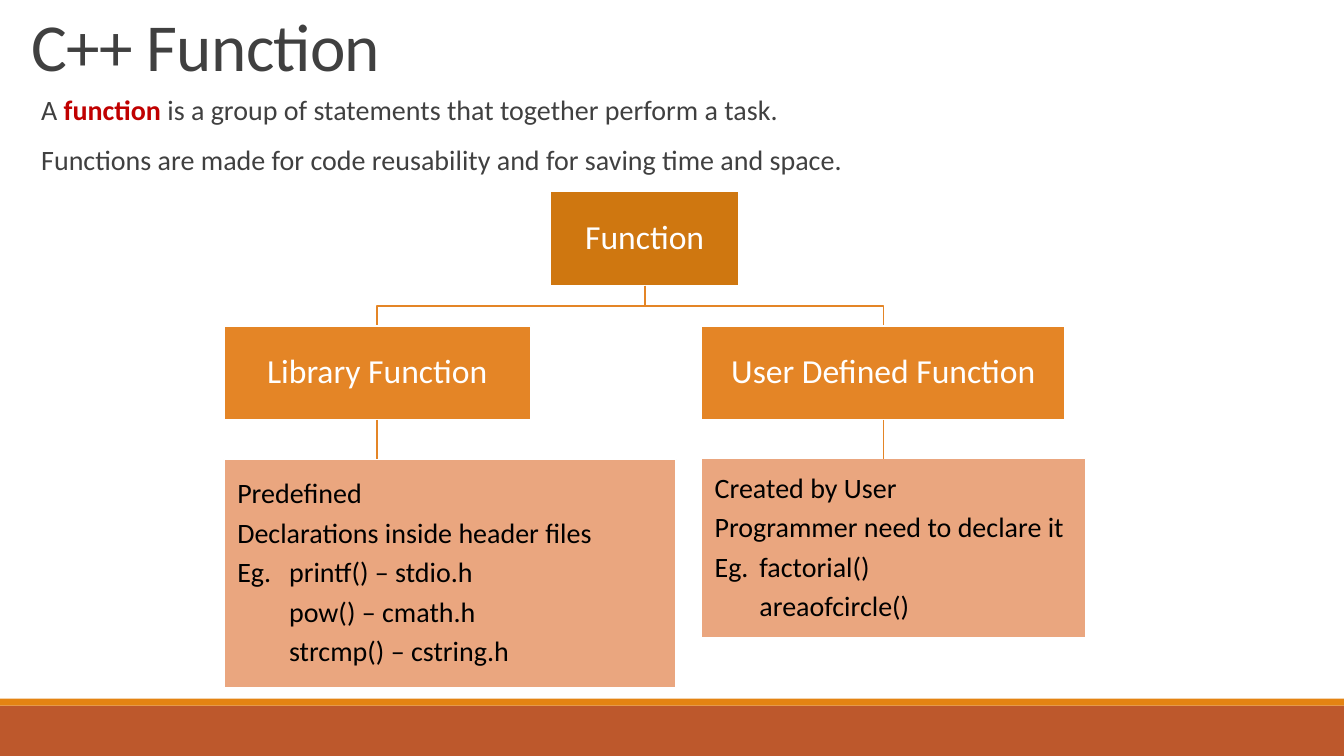
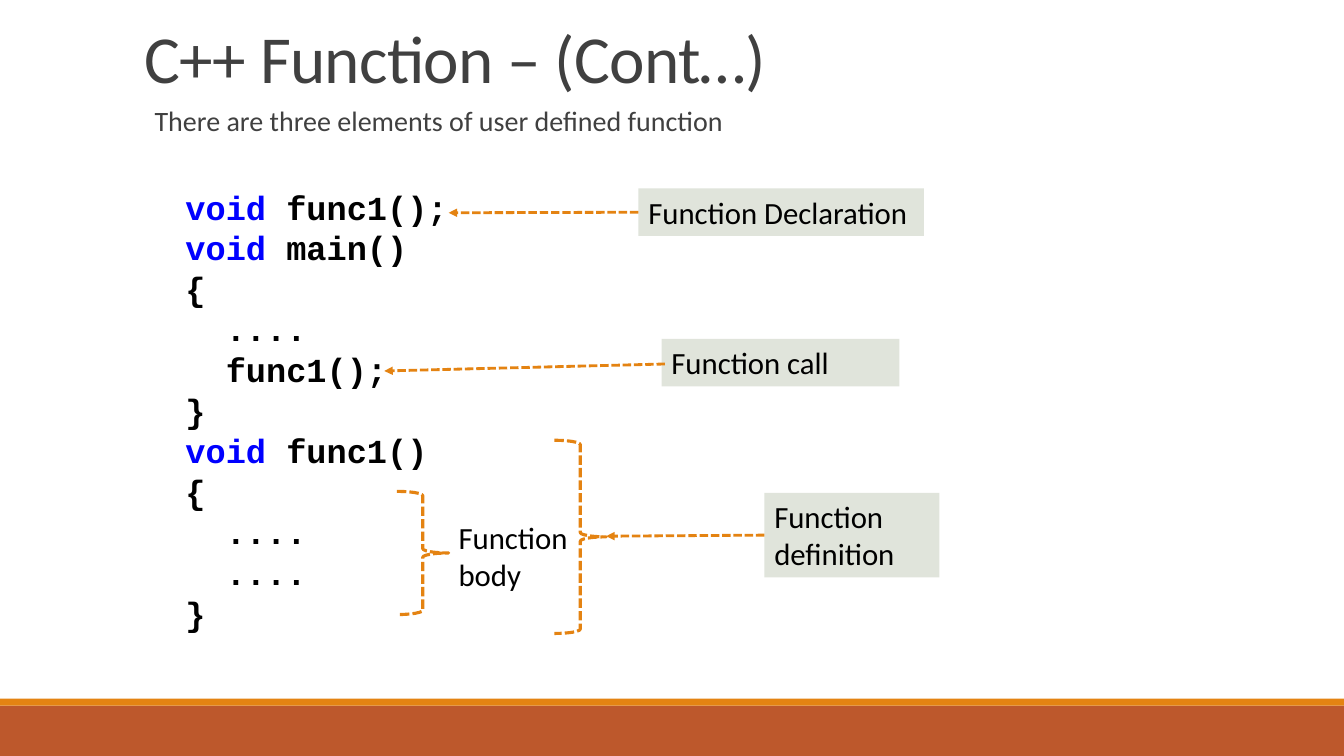
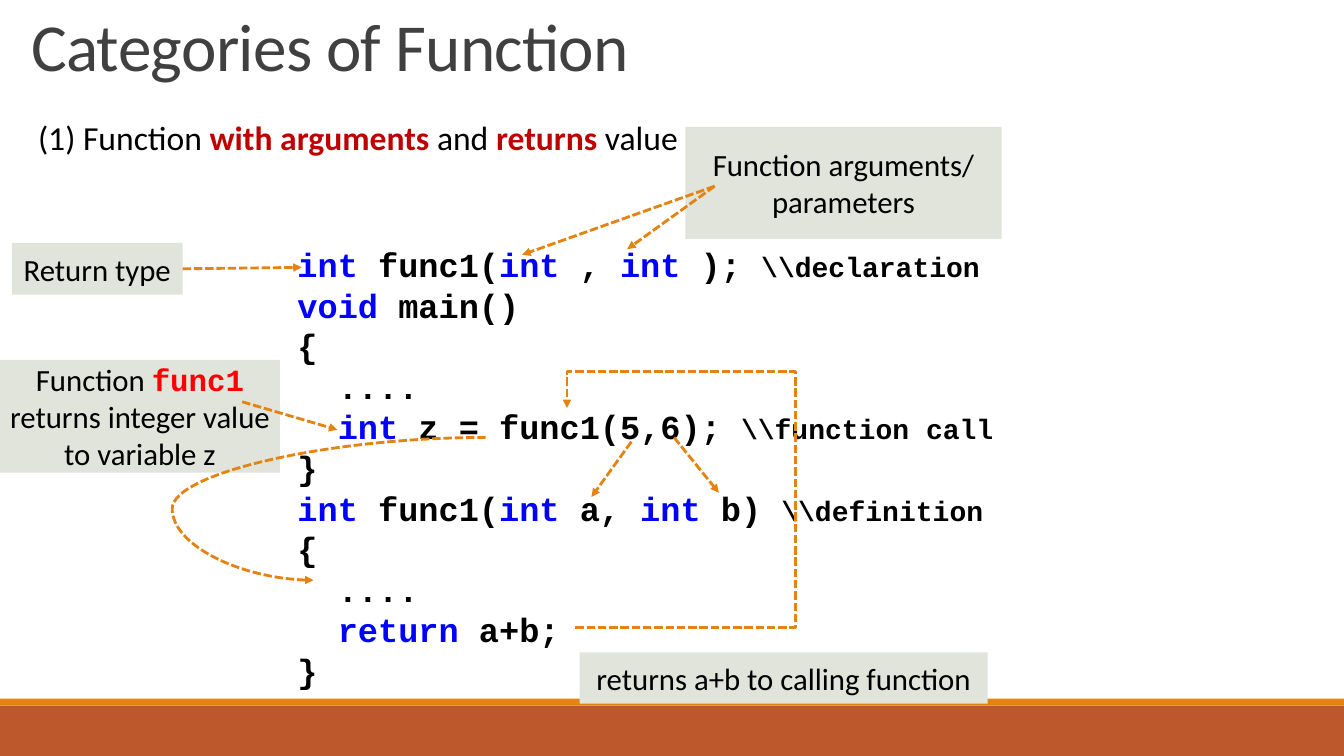
from pptx import Presentation
from pptx.dml.color import RGBColor
from pptx.enum.dml import MSO_LINE
from pptx.enum.shapes import MSO_CONNECTOR as CXN, MSO_SHAPE as SHAPE
from pptx.enum.text import MSO_ANCHOR as ANCHOR, MSO_AUTO_SIZE as FIT, PP_ALIGN as ALIGN
from pptx.oxml.ns import qn
from pptx.util import Pt
from lxml.etree import SubElement

WHITE = RGBColor(0xFF, 0xFF, 0xFF)
BLACK = RGBColor(0x00, 0x00, 0x00)
GRAY = RGBColor(0x40, 0x40, 0x40)
CRIMSON = RGBColor(0xC0, 0x00, 0x00)
RED = RGBColor(0xFF, 0x00, 0x00)
BLUE = RGBColor(0x00, 0x00, 0xFF)
RUST = RGBColor(0xBD, 0x58, 0x2C)
ORANGE = RGBColor(0xE4, 0x83, 0x12)
ROOT = RGBColor(0xCF, 0x77, 0x10)
BRANCH = RGBColor(0xE4, 0x85, 0x26)
PEACH = RGBColor(0xEA, 0xA6, 0x7F)
SAGE = RGBColor(0xE0, 0xE4, 0xDB)

TITLE = {"name": "Calibri", "size": Pt(48), "color": GRAY}
BODY = {"name": "Calibri", "size": Pt(20), "color": GRAY}
HEADING = {"name": "Calibri", "size": Pt(24), "color": BLACK}
NODE = {"name": "Calibri", "size": Pt(24), "color": WHITE}
DETAIL = {"name": "Calibri", "size": Pt(20), "color": BLACK}
LABEL = {"name": "Calibri", "size": Pt(22), "color": BLACK}
CODE = {"name": "Courier New", "size": Pt(24), "bold": True, "color": BLACK}
KEYWORD = {"color": BLUE}
COMMENT = {"size": Pt(20)}
STRONG = {"color": CRIMSON, "bold": True}
CODE_NAME = {"name": "Courier New", "color": RED, "bold": True}

LEFT = {"alignment": ALIGN.LEFT, "space_before": Pt(0), "space_after": Pt(0)}
CENTER = LEFT | {"alignment": ALIGN.CENTER}
TIGHT = LEFT | {"line_spacing": 0.9}


def split_runs(text, accent):
    parts = enumerate(text.split("*"))
    return [(part, accent if i % 2 else {}) for i, part in parts if part]


def code_runs(line):
    code, mark, comment = line.partition(r"\\")
    return split_runs(code, KEYWORD) + ([(mark + comment, COMMENT)] if mark else [])


def set_font(font, fmt):
    for key, value in fmt.items():
        if key == "color":
            font.color.rgb = value
        else:
            setattr(font, key, value)


def write(sp, paras, fmt, para_fmt, gap=0, indent=None, tab=None,
          anchor=ANCHOR.TOP, inset=(7.2, 3.6)):
    tf = sp.text_frame
    x, y = map(Pt, inset)
    frame = {"word_wrap": True, "auto_size": FIT.NONE, "vertical_anchor": anchor,
             "margin_left": x, "margin_right": x, "margin_top": y, "margin_bottom": y}
    for key, value in frame.items():
        setattr(tf, key, value)
    for i, runs in enumerate(paras):
        p = tf.add_paragraph() if i else tf.paragraphs[0]
        for key, value in para_fmt.items():
            setattr(p, key, value)
        if i:
            p.space_before = Pt(gap)
        pPr = p._p.get_or_add_pPr()
        if indent is not None:
            pPr.set("marL", str(Pt(indent)))
            pPr.set("indent", "0")
            SubElement(pPr, qn("a:buNone"))
        if tab:
            tabs = SubElement(pPr, qn("a:tabLst"))
            SubElement(tabs, qn("a:tab"), pos=str(Pt(tab)), algn="l")
        for text, extra in runs:
            r = p.add_run()
            r.text = text
            set_font(r.font, fmt | extra)


def plain(*lines, accent=None):
    return [split_runs(line, accent or {}) for line in lines]


def box(s, at, fill, line=None):
    sp = s.shapes.add_shape(SHAPE.RECTANGLE, *map(Pt, at))
    sp.shadow.inherit = False
    sp.fill.solid()
    sp.fill.fore_color.rgb = fill
    if line:
        sp.line.color.rgb = line
        sp.line.width = Pt(1.25)
    else:
        sp.line.fill.background()
    return sp


def style_line(sp, color, width, dashed=False, arrow=False):
    sp.line.color.rgb = color
    sp.line.width = Pt(width)
    if dashed:
        sp.line.dash_style = MSO_LINE.SQUARE_DOT
    if arrow:
        SubElement(sp.line._get_or_add_ln(), qn("a:tailEnd"), type="triangle")


def connector(s, start, end, kind=CXN.STRAIGHT, color=ORANGE, width=2, dashed=True,
              arrow=True, source=None, side=None):
    c = s.shapes.add_connector(kind, *map(Pt, start + end))
    if source is not None:
        c.begin_connect(source, side)
    style_line(c, color, width, dashed, arrow)
    SubElement(c._element.spPr, qn("a:effectLst"))
    return c


def polyline(s, points, **style):
    (x, y), *rest = [tuple(map(Pt, point)) for point in points]
    builder = s.shapes.build_freeform(x, y, scale=1.0)
    builder.add_line_segments(rest, close=False)
    sp = builder.convert_to_shape()
    sp.shadow.inherit = False
    sp.fill.background()
    style_line(sp, **style)


def brace(s, at):
    sp = s.shapes.add_shape(SHAPE.RIGHT_BRACE, *map(Pt, at))
    sp.shadow.inherit = False
    sp.fill.background()
    style_line(sp, ORANGE, 2.25, dashed=True)


def label(s, at, *lines, para_fmt=CENTER, accent=None):
    sp = box(s, at, SAGE)
    write(sp, plain(*lines, accent=accent), LABEL, para_fmt, anchor=ANCHOR.MIDDLE)
    return sp


def node(s, at, text, fill):
    sp = box(s, at, fill, WHITE)
    write(sp, plain(text), NODE, CENTER | {"line_spacing": 0.9},
          anchor=ANCHOR.MIDDLE, inset=(1.4, 1.4))
    return sp


def detail(s, at, tab, *lines):
    sp = box(s, at, PEACH, WHITE)
    write(sp, plain(*lines), DETAIL, TIGHT, gap=6.6, tab=tab,
          anchor=ANCHOR.MIDDLE, inset=(9.5, 0.7))


def code(s, at, *lines):
    sp = box(s, at, WHITE)
    write(sp, [code_runs(line) for line in lines], CODE, LEFT | {"line_spacing": Pt(29)},
          anchor=ANCHOR.MIDDLE, inset=(0, 0))


def place(sp, at):
    for key, value in zip(("left", "top", "width", "height"), at):
        setattr(sp, key, Pt(value))


def new_slide(prs, title, title_at, body, body_at, body_fmt=BODY, indent=7.2):
    s = prs.slides.add_slide(prs.slide_layouts[1])
    heading, content = s.placeholders
    place(heading, title_at)
    write(heading, plain(title), TITLE, LEFT | {"line_spacing": 0.85})
    heading.text_frame.paragraphs[0].runs[0].font._element.set("spc", "-50")
    place(content, body_at)
    spacing = TIGHT if indent else LEFT
    write(content, plain(*body, accent=STRONG), body_fmt, spacing, gap=14, indent=indent)
    return s


def add_bands(prs, s):
    tree = prs.slide_master.shapes.element
    bands = ((0, 504, 960, 36), RUST), ((0, 499, 960, 5), ORANGE)
    for i, (at, fill) in enumerate(bands):
        sp = box(s, at, fill)
        sp._element.nvSpPr.cNvPr.set("id", str(20 + i))
        tree.insert(2 + i, sp._element)


def function_tree(prs):
    s = new_slide(prs, "C++ Function", (15, 8.6, 690, 63.4),
                  ["A *function* is a group of statements that together perform a task.",
                   "Functions are made for code reusability and for saving time and space."],
                  (15, 65, 690, 106))
    add_bands(prs, s)
    root_x, fork_y, child_y = 460.5, 218.5, 232.8
    branches = [
        (160, 219, "Library Function", (160, 328.2, 323, 163), 37,
         ["Predefined", "Declarations inside header files", "Eg.\tprintf() – stdio.h",
          "\tpow() – cmath.h", "\tstrcmp() – cstring.h"]),
        (501, 260, "User Defined Function", (501, 327.6, 274.5, 128), 32,
         ["Created by User", "Programmer need to declare it", "Eg.\tfactorial()",
          "\tareaofcircle()"]),
    ]
    node(s, (root_x - 67.5, 136.8, 135, 67.2), "Function", ROOT)
    for x, width, name, detail_at, tab, lines in branches:
        mid = x + width / 2
        polyline(s, [(root_x, 204), (root_x, fork_y), (mid, fork_y), (mid, child_y)],
                 color=BRANCH, width=1.25)
        branch = node(s, (x, child_y, width, 67.2), name, BRANCH)
        detail(s, detail_at, tab, *lines)
        connector(s, (mid, 300), (mid, detail_at[1]), color=BRANCH, width=1.25,
                  dashed=False, arrow=False, source=branch, side=3 - 1)


def function_elements(prs):
    s = new_slide(prs, "C++ Function – (Cont…)", (96, 16.6, 690, 63.4),
                  ["There are three elements of user defined function"],
                  (96, 73, 690, 52.5))
    code(s, (132.5, 132.5, 203, 320), "*void* func1();", "*void* main()", "{", "  ....",
         "  func1();", "}", "*void* func1()", "{", "  ....", "  ....", "}")
    declaration = label(s, (456, 134.6, 204, 34), "Function Declaration", para_fmt=LEFT)
    label(s, (472.5, 242, 170, 34), "Function call", para_fmt=LEFT)
    definition = label(s, (546, 352, 125, 60.5), "Function", "definition", para_fmt=LEFT)
    brace(s, (283.5, 351, 37, 88))
    brace(s, (396, 314.5, 37, 138))
    body = s.shapes.add_textbox(*map(Pt, (320.5, 367, 94, 60.5)))
    write(body, plain("Function body"), LABEL, LEFT)
    connector(s, (456, 151.6), (320.5, 152), source=declaration, side=1)
    connector(s, (475, 260), (274.5, 265))
    connector(s, (546, 382.2), (433, 383), source=definition, side=1)


def function_categories(prs):
    s = new_slide(prs, "Categories of Function", (15, 8.6, 690, 63.4),
                  ["(1) Function *with arguments *and *returns* value"],
                  (20, 80, 482, 36), HEADING, indent=0)
    code(s, (212.5, 173.5, 501, 320), r"*int* func1(*int* , *int* ); \\declaration",
         "*void* main()", "{", "  ....", r"  *int* z = func1(5,6); \\function call", "}",
         r"*int* func1(*int* a, *int* b) \\definition", "{", "  ....",
         "  *return* a+b;", "}")
    return_type = label(s, (8.5, 173.5, 122, 37), "Return type")
    label(s, (489.5, 90.7, 226, 80), "Function arguments/ parameters")
    label(s, (0, 257, 200, 80.6), "Function *func1* returns integer value to variable z",
          accent=CODE_NAME)
    label(s, (414, 466, 291.5, 36.7), "returns a+b to calling function")
    connector(s, (130.5, 192), (215.5, 191), source=return_type, side=3)
    for start, end in [((510.5, 133), (373, 182)), ((510.5, 133), (448, 178)),
                       ((173, 287), (241, 307)), ((451, 315.5), (422.5, 355)),
                       ((481.5, 312.5), (513.5, 352))]:
        connector(s, start, end)
    curve = connector(s, (347, 312.5), (224, 414.5), kind=CXN.CURVE)
    guides = curve._element.spPr.prstGeom.get_or_add_avLst()
    SubElement(guides, qn("a:gd"), name="adj1", fmla="val 182100")
    polyline(s, [(411, 448.5), (568, 448.5), (568, 265.5), (405, 265.5), (405, 291.5)],
             color=ORANGE, width=2, dashed=True, arrow=True)


def main():
    prs = Presentation()
    prs.slide_width, prs.slide_height = Pt(960), Pt(540)
    function_tree(prs)
    function_elements(prs)
    function_categories(prs)
    prs.save("out.pptx")


if __name__ == "__main__":
    main()
